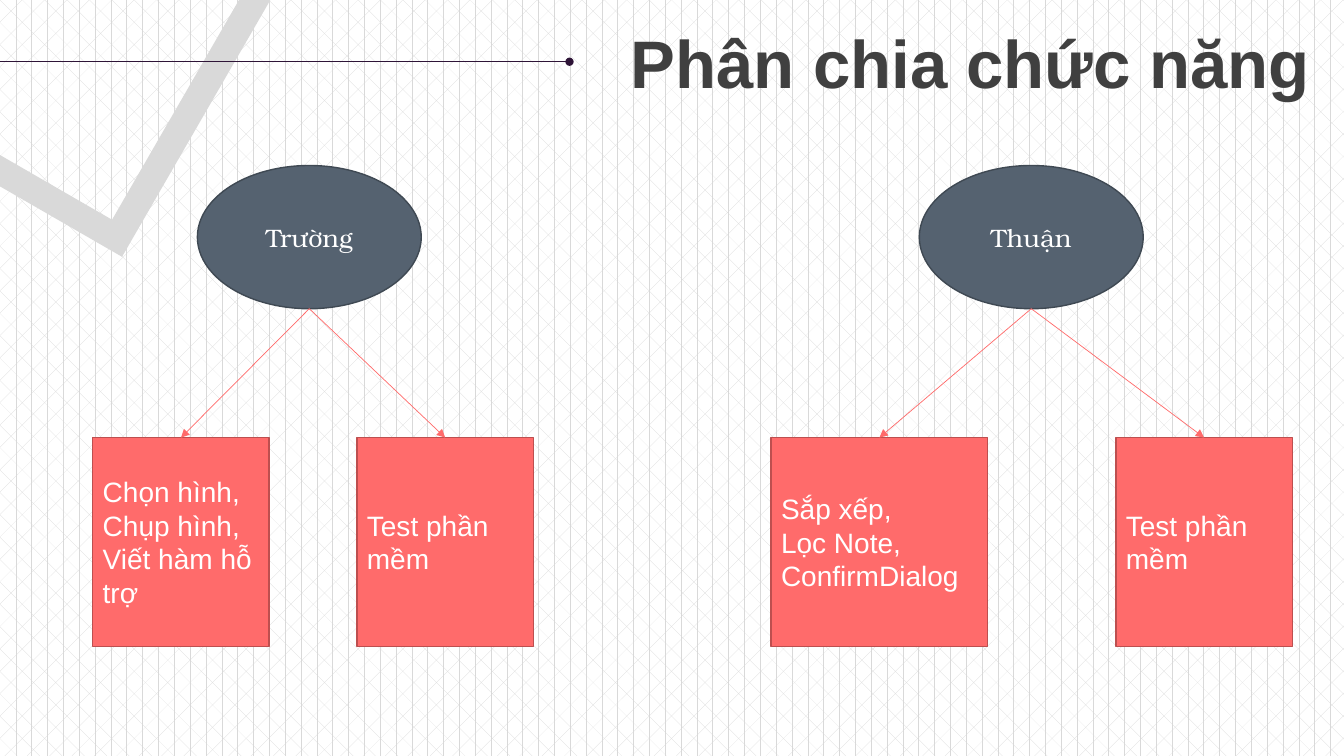
from pptx import Presentation
from pptx.dml.color import RGBColor
from pptx.enum.dml import MSO_PATTERN
from pptx.enum.shapes import MSO_CONNECTOR, MSO_SHAPE
from pptx.enum.text import MSO_ANCHOR, MSO_AUTO_SIZE, PP_ALIGN
from pptx.oxml.ns import qn
from pptx.util import Inches, Pt
from lxml import etree

STRAIGHT = MSO_CONNECTOR.STRAIGHT
FRAME, OVAL, RECTANGLE = MSO_SHAPE.FRAME, MSO_SHAPE.OVAL, MSO_SHAPE.RECTANGLE
LEFT, CENTER, RIGHT = PP_ALIGN.LEFT, PP_ALIGN.CENTER, PP_ALIGN.RIGHT
MIDDLE, TOP = MSO_ANCHOR.MIDDLE, MSO_ANCHOR.TOP
GROW = MSO_AUTO_SIZE.SHAPE_TO_FIT_TEXT
DIVOT = MSO_PATTERN.DIVOT

WHITE = RGBColor(0xFF, 0xFF, 0xFF)
PALE_GREY = RGBColor(0xD9, 0xD9, 0xD9)
DARK_GREY = RGBColor(0x40, 0x40, 0x40)
PLUM = RGBColor(0x2E, 0x14, 0x37)
SLATE = RGBColor(0x55, 0x62, 0x70)
SLATE_EDGE = RGBColor(0x3F, 0x49, 0x53)
CORAL = RGBColor(0xFF, 0x6B, 0x6B)
CORAL_EDGE = RGBColor(0xBD, 0x4F, 0x4F)

# Grid of 32 columns and 18 rows
SLIDE_WIDTH, SLIDE_HEIGHT = Inches(13.33), Inches(7.5)
COLUMN, ROW = SLIDE_WIDTH / 32, SLIDE_HEIGHT / 18

MEMBER_TOP, MEMBER_WIDTH, MEMBER_HEIGHT = 3.94, 5.33, 3.41
TASK_TOP, TASK_WIDTH, WIDE_TASK_WIDTH, TASK_HEIGHT = 10.42, 4.2, 5.16, 4.97

# Member, left column, then tasks as (text, left column, width)
MEMBERS = [
    ("Thuận", 21.89, [
        ("Sắp xếp,\nLọc Note,\nConfirmDialog", 18.36, WIDE_TASK_WIDTH),
        ("Test phần mềm", 26.57, TASK_WIDTH),
    ]),
    ("Trường", 4.7, [
        ("Chọn hình, Chụp hình, Viết hàm hỗ trợ", 2.21, TASK_WIDTH),
        ("Test phần mềm", 8.5, TASK_WIDTH),
    ]),
]


def place(left, top, width, height):
    return (round(left * COLUMN), round(top * ROW),
            round(width * COLUMN), round(height * ROW))


def write(shape, text, size, color, font="Arial", bold=False,
          align=LEFT, anchor=MIDDLE, wrap=True):
    frame = shape.text_frame
    frame.word_wrap = wrap
    frame.vertical_anchor = anchor
    frame.text = text
    for paragraph in frame.paragraphs:
        paragraph.alignment = align
        for run in paragraph.runs:
            run.font.size = Pt(size)
            run.font.name = font
            run.font.bold = bold
            run.font.color.rgb = color


def add_block(slide, kind, box, fill, edge=None):
    block = slide.shapes.add_shape(kind, *place(*box))
    block.shadow.inherit = False
    block.fill.solid()
    block.fill.fore_color.rgb = fill
    if edge is None:
        block.line.fill.background()
    else:
        block.line.color.rgb = edge
        block.line.width = Pt(1)
    return block


def add_line(slide, start, end, color, ending):
    line = slide.shapes.add_connector(STRAIGHT, *place(*start, *end))
    line.line.color.rgb = color
    line.line.width = Pt(0.5)
    outline = line.line._get_or_add_ln()
    etree.SubElement(outline, qn("a:tailEnd"), type=ending)
    etree.SubElement(line._element.spPr, qn("a:effectLst"))
    return line


def add_member(slide, name, left, tasks):
    member = add_block(slide, OVAL, (left, MEMBER_TOP, MEMBER_WIDTH, MEMBER_HEIGHT),
                       SLATE, SLATE_EDGE)
    write(member, name, 18, WHITE, font="TeX Gyre Bonum", align=CENTER)
    member_foot = (left + MEMBER_WIDTH / 2, MEMBER_TOP + MEMBER_HEIGHT)

    for duty, task_left, width in tasks:
        task = add_block(slide, RECTANGLE, (task_left, TASK_TOP, width, TASK_HEIGHT),
                         CORAL, CORAL_EDGE)
        write(task, duty, 20, WHITE)
        arrow = add_line(slide, member_foot, (task_left + width / 2, TASK_TOP),
                         CORAL, "triangle")
        arrow.end_connect(task, 0)


def main():
    deck = Presentation()
    deck.slide_width, deck.slide_height = SLIDE_WIDTH, SLIDE_HEIGHT
    slide = deck.slides.add_slide(deck.slide_layouts[6])

    # Patterned background and corner ornament
    backdrop = slide.background.fill
    backdrop.patterned()
    backdrop.pattern = DIVOT
    backdrop.fore_color.rgb = PALE_GREY
    backdrop.back_color.rgb = WHITE
    ornament = add_block(slide, FRAME, (-2.9, -3.94, 8.5, 8.5), PALE_GREY)
    ornament.adjustments[0] = 0.076
    ornament.rotation = 30

    # Title with its leading rule
    title = slide.shapes.add_textbox(*place(14.59, 0.38, 16.85, 2.18))
    write(title, "Phân chia chức năng", 48, DARK_GREY, bold=True,
          align=RIGHT, anchor=TOP, wrap=False)
    title.text_frame.auto_size = GROW
    add_line(slide, (0, 1.47), (13.56, 1.47), PLUM, "oval")

    # Members and their tasks
    for name, left, tasks in MEMBERS:
        add_member(slide, name, left, tasks)

    deck.save("out.pptx")


if __name__ == "__main__":
    main()
